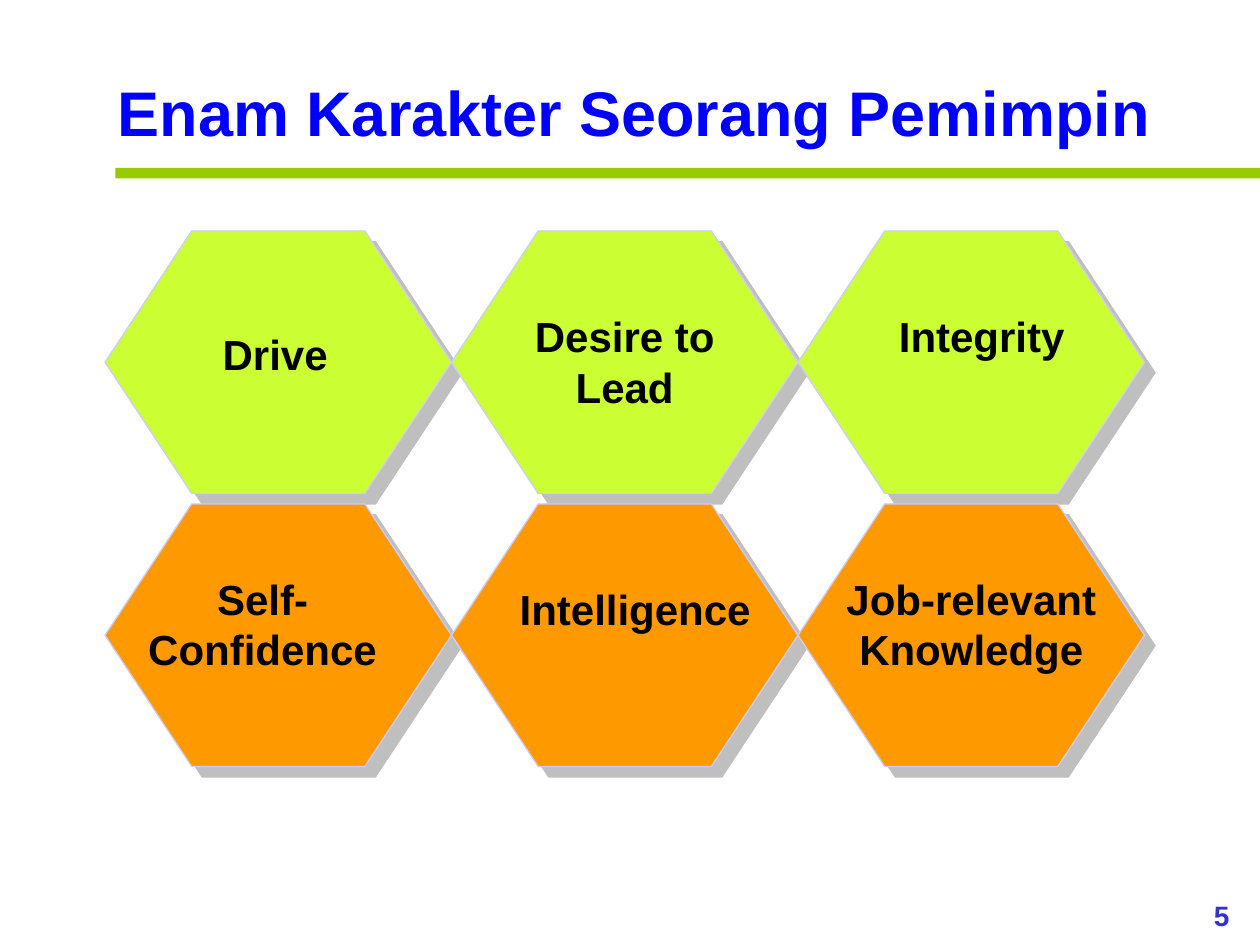
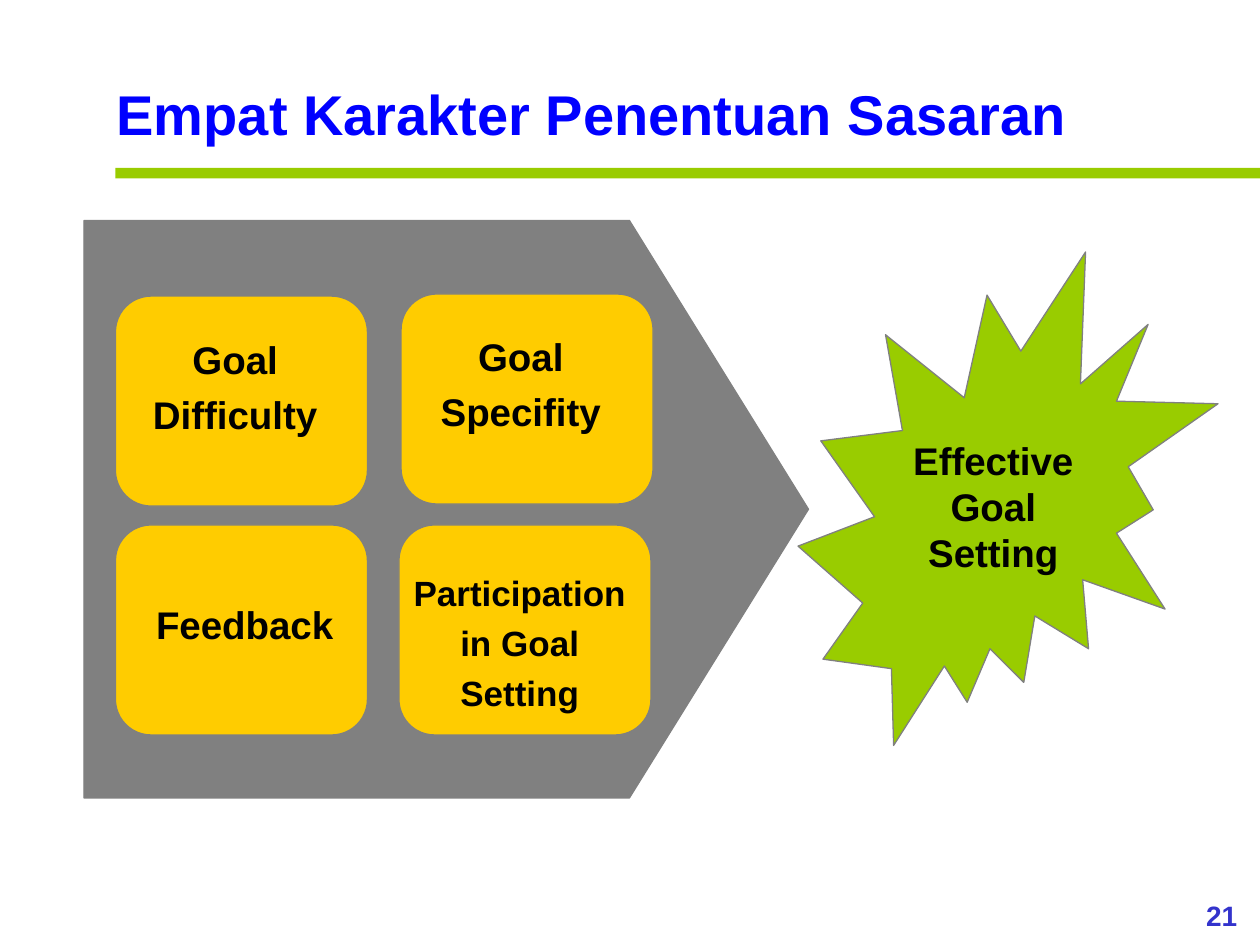
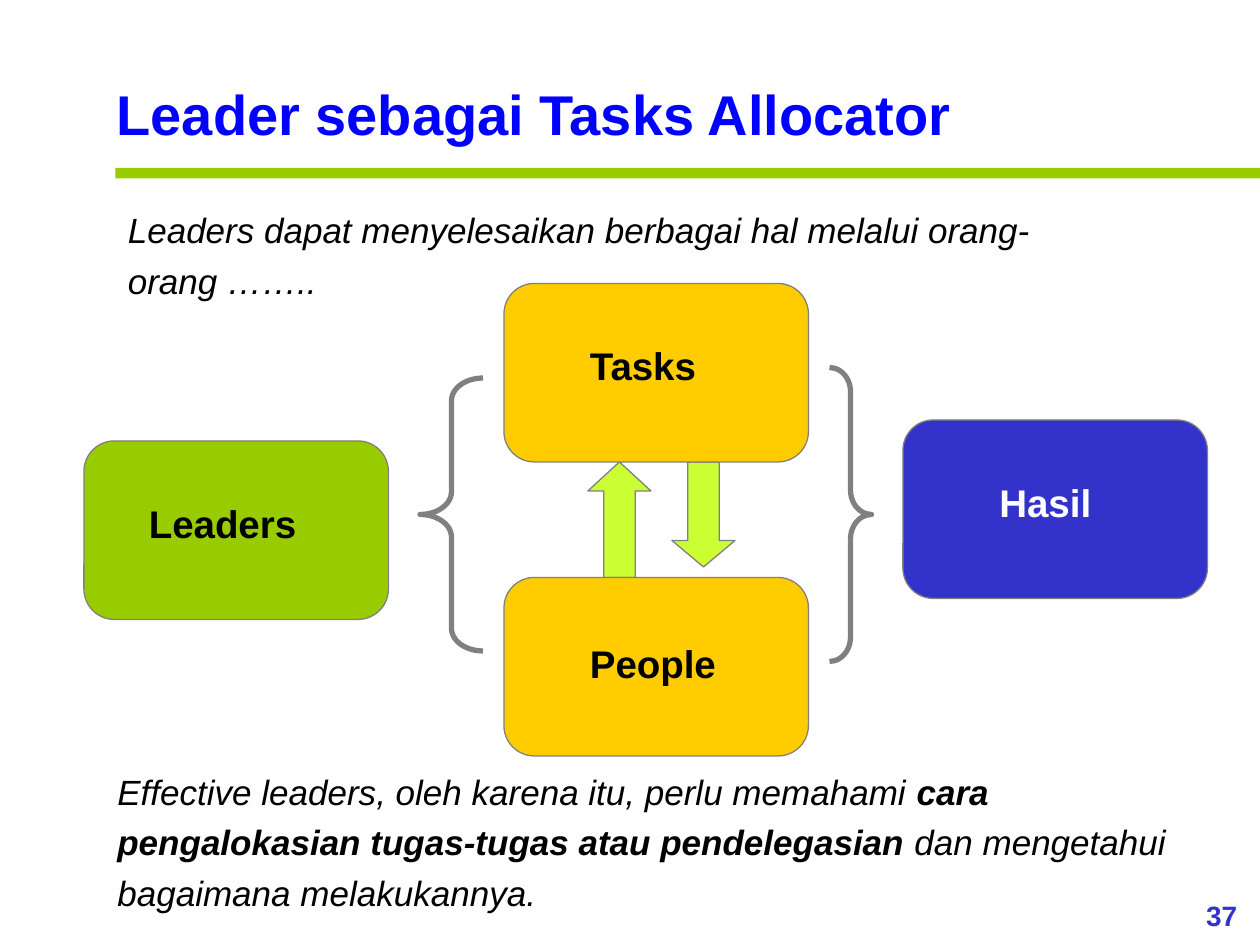
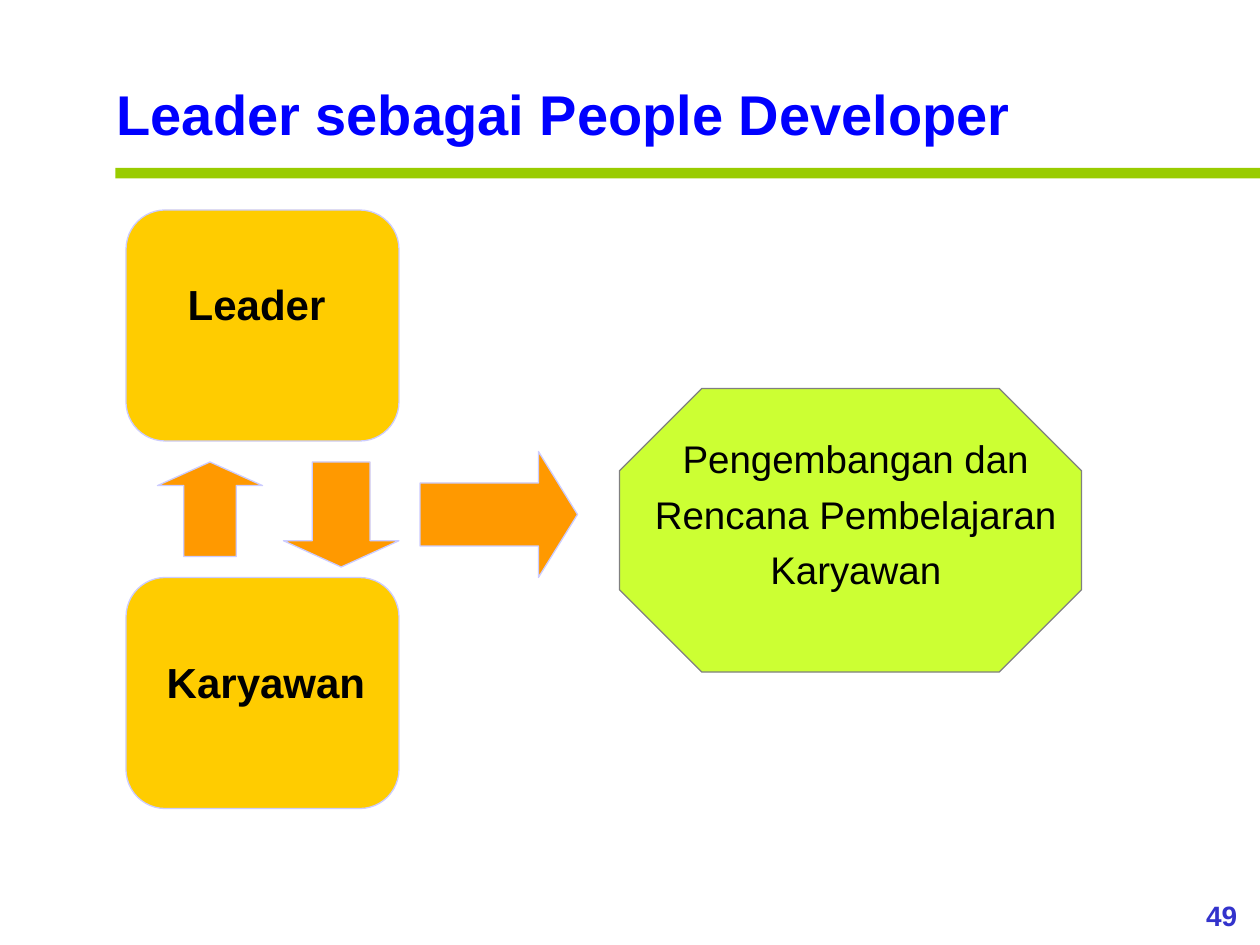
import dataclasses

import pptx
import pptx.dml.color
import pptx.enum.shapes
import pptx.enum.text
import pptx.oxml
import pptx.oxml.ns
import pptx.util

KIND = pptx.enum.shapes.MSO_SHAPE
ALIGN = pptx.enum.text.PP_ALIGN


@dataclasses.dataclass(frozen=True)
class Theme:
    font: str = "Arial"
    title: str = "0000FF"
    black: str = "000000"
    white: str = "FFFFFF"
    indigo: str = "3333CC"
    green: str = "99CC00"
    lime: str = "CCFF33"
    orange: str = "FF9900"
    amber: str = "FFCC00"
    gray: str = "808080"
    lilac: str = "CCCCFF"
    title_large: int = 36
    title_size: int = 32
    large: int = 24
    medium: int = 22
    body: int = 20
    number: int = 16


THEME = Theme()

# The slide is a grid of 120 columns by 90 rows, twelve to the inch
CELL = pptx.util.Inches(10) // 120

SHADOW = (
    f'<a:effectLst {pptx.oxml.ns.nsdecls("a")}>'
    '<a:outerShdw dist="107950" dir="2700000" algn="ctr" rotWithShape="0">'
    f'<a:srgbClr val="{THEME.gray}"><a:alpha val="50000"/></a:srgbClr>'
    "</a:outerShdw></a:effectLst>"
)


def draw(page, kind, cells, fill=None, line=THEME.gray, weight=0.75, adjust=(), shadow=False):
    """Add a preset shape at (column, row, columns, rows)."""
    shape = page.shapes.add_shape(kind, *[round(cell * CELL) for cell in cells])
    shape.shadow.inherit = False
    if shadow:
        properties = shape.element.spPr
        properties.replace(properties.find(pptx.oxml.ns.qn("a:effectLst")),
                           pptx.oxml.parse_xml(SHADOW))
    if fill:
        shape.fill.solid()
        shape.fill.fore_color.rgb = pptx.dml.color.RGBColor.from_string(fill)
    else:
        shape.fill.background()
    if line:
        shape.line.color.rgb = pptx.dml.color.RGBColor.from_string(line)
        shape.line.width = pptx.util.Pt(weight)
    else:
        shape.line.fill.background()
    for index, value in enumerate(adjust):
        shape.adjustments[index] = value
    return shape


def write(page, text, cells, size=THEME.medium, color=THEME.black, bold=True, italic=False,
          align=ALIGN.CENTER, spacing=1.0, title=False):
    """Write text, or a list of (text, bold) spans, in a box or in the title."""
    place = [round(cell * CELL) for cell in cells]
    if title:
        box = page.shapes.title
        box.left, box.top, box.width, box.height = place
    else:
        box = page.shapes.add_textbox(*place)
    frame = box.text_frame
    frame.word_wrap = True
    frame.auto_size = pptx.enum.text.MSO_AUTO_SIZE.SHAPE_TO_FIT_TEXT
    frame.vertical_anchor = pptx.enum.text.MSO_ANCHOR.TOP
    para = frame.paragraphs[0]
    para.alignment = align
    para.line_spacing = spacing
    for words, heavy in [(text, bold)] if isinstance(text, str) else text:
        span = para.add_run()
        span.text = words
        span.font.name = THEME.font
        span.font.size = pptx.util.Pt(size)
        span.font.bold = heavy
        span.font.italic = italic
        span.font.color.rgb = pptx.dml.color.RGBColor.from_string(color)


deck = pptx.Presentation()
deck.slide_width = 120 * CELL
deck.slide_height = 90 * CELL
layout = deck.slide_layouts.get_by_name("Title Only")

# Titles and slide numbers
pages = []
for title, number, size, corner in [
    ("Enam Karakter Seorang Pemimpin", "5", THEME.title_large, (10, 6.4)),
    ("Empat Karakter Penentuan Sasaran", "21", THEME.title_size, (9.9, 7)),
    ("Leader sebagai Tasks Allocator", "37", THEME.title_size, (9.9, 7)),
    ("Leader sebagai People Developer", "49", THEME.title_size, (9.9, 7)),
]:
    page = deck.slides.add_slide(layout)
    write(page, title, (*corner, 104, 8), size=size, color=THEME.title, align=ALIGN.LEFT, title=True)
    write(page, number, (112.7, 85, 7.3, 4.4), size=THEME.number, color=THEME.indigo)
    pages.append(page)
traits, goals, allocator, developer = pages

# Green rule, moved to the layout so that all slides share it
rule = draw(traits, KIND.RECTANGLE, (11, 16, 109, 1), THEME.green, line=None)
layout.shapes.element.append(rule.element)

# Six traits: two rows of three hexagons
for row, fill in enumerate([THEME.lime, THEME.orange]):
    for column in range(3):
        draw(traits, KIND.HEXAGON, (10 + 33 * column, 22 + 26 * row, 33, 25), fill,
             line=THEME.lilac, adjust=[0.33], shadow=True)
for text, cells in [
    ("Drive", (19.2, 30.7, 14, 6)),
    ("Desire to Lead", (48, 29, 23, 10.8)),
    ("Integrity", (82, 29, 23, 6)),
    ("Self-Confidence", (12, 54, 26, 10.8)),
    ("Intelligence", (48, 55, 25, 6)),
    ("Job-relevant Knowledge", (79, 54, 27, 10.8)),
]:
    write(traits, text, cells, size=THEME.large)

# Four goal characteristics leading to the burst
draw(goals, KIND.PENTAGON, (8, 21, 69, 55), THEME.gray, adjust=[0.31])
draw(goals, KIND.EXPLOSION2, (76, 24, 40, 47), THEME.green)
for text, corner, cells, size in [
    ("Goal Difficulty", (11, 28.2), (12.8, 30.5, 19.2, 11.8), THEME.medium),
    ("Goal Specifity", (38.2, 28), (40, 30.25, 19.2, 11.8), THEME.medium),
    ("Feedback", (11, 50), (12.8, 55.8, 21, 6.5), THEME.medium),
    ("Participation in Goal Setting", (38, 50), (37, 53, 25, 15.6), THEME.body),
]:
    draw(goals, KIND.ROUNDED_RECTANGLE, (*corner, 24, 20), THEME.amber, adjust=[0.17])
    write(goals, text, cells, size=size, spacing=1.2)
write(goals, "Effective Goal Setting", (83, 41, 23.2, 14.4))

# Leaders, tasks and people, results
draw(allocator, KIND.UP_ARROW, (56, 44, 6, 11), THEME.lime, adjust=[0.5, 0.46])
draw(allocator, KIND.DOWN_ARROW, (64, 44, 6, 10), THEME.lime, adjust=[0.5, 0.42])
for text, corner, cells, fill, color in [
    ("Leaders", (8, 42), (13, 47, 18, 5.6), THEME.green, THEME.black),
    ("Tasks", (48, 27), (55, 32, 15, 5.6), THEME.amber, THEME.black),
    ("People", (48, 55), (55, 60.4, 16, 5.6), THEME.amber, THEME.black),
    ("Hasil", (86, 40), (94, 45, 14, 5.6), THEME.indigo, THEME.white),
]:
    draw(allocator, KIND.ROUNDED_RECTANGLE, (*corner, 29, 17), fill, adjust=[0.17])
    write(allocator, text, cells, color=color, align=ALIGN.LEFT)
draw(allocator, KIND.LEFT_BRACE, (40, 36, 6, 26), weight=3, adjust=[0.36, 0.5])
draw(allocator, KIND.RIGHT_BRACE, (79, 35, 4, 28), weight=3, adjust=[0.58, 0.5])

# Statements above and below the diagram
for text, cells in [
    ("Leaders dapat menyelesaikan berbagai hal melalui orang-orang ……..", (11, 18.5, 95, 10.8)),
    ([("Effective leaders, oleh karena itu, perlu memahami ", False),
      ("cara pengalokasian tugas-tugas atau pendelegasian", True),
      (" dan mengetahui bagaimana melakukannya.", False)], (10, 72, 107, 15.6)),
]:
    write(allocator, text, cells, size=THEME.body, bold=False, italic=True,
          align=ALIGN.LEFT, spacing=1.2)

# Leader and employee, joined by arrows to the development plan
draw(developer, KIND.OCTAGON, (59, 37, 44, 27), THEME.lime, adjust=[0.29])
write(developer, "Pengembangan dan Rencana Pembelajaran Karyawan", (61, 40, 41, 17),
      bold=False, spacing=1.2)
for text, row, cells in [
    ("Leader", 20, (16.7, 25, 18, 7)),
    ("Karyawan", 55, (14.7, 61, 23, 7)),
]:
    draw(developer, KIND.ROUNDED_RECTANGLE, (12, row, 26, 22), THEME.amber,
         line=THEME.lilac, adjust=[0.17])
    write(developer, text, cells, size=THEME.large, align=ALIGN.LEFT, spacing=1.2)
for kind, cells, head in [
    (KIND.UP_ARROW, (15, 44, 10, 9), 0.25),
    (KIND.DOWN_ARROW, (27, 44, 11, 10), 0.25),
    (KIND.RIGHT_ARROW, (40, 43, 15, 12), 0.31),
]:
    draw(developer, kind, cells, THEME.orange, line=THEME.lilac, adjust=[0.5, head])

deck.save("out.pptx")
